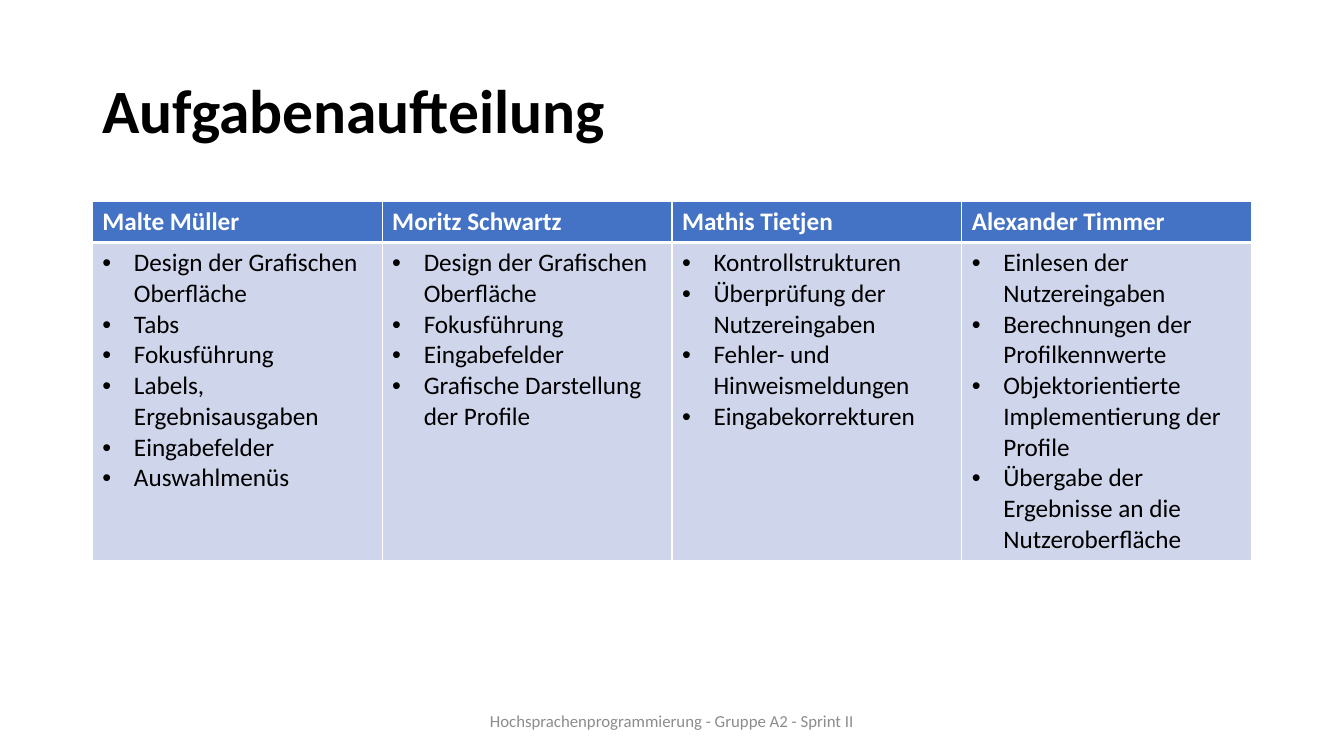
from pptx import Presentation
from pptx.dml.color import RGBColor
from pptx.enum.text import MSO_ANCHOR, MSO_AUTO_SIZE, PP_ALIGN
from pptx.oxml import parse_xml
from pptx.oxml.ns import nsdecls
from pptx.util import Pt

# Theme: colours and type sizes
theme = {
    "title": {"size": Pt(44), "bold": True, "color": "000000"},
    "head": {"size": Pt(18), "bold": True, "color": "FFFFFF"},
    "body": {"size": Pt(18), "bold": False, "color": "000000"},
    "foot": {"size": Pt(12), "bold": False, "color": "8C8C8C"},
    "font": "Calibri",
    "fills": {"head": "4472C4", "body": "CFD5EA"},
    "rule": "FFFFFF",
}
tasks = {
    "Malte Müller": [
        "Design der Grafischen Oberfläche", "Tabs", "Fokusführung",
        "Labels, Ergebnisausgaben", "Eingabefelder", "Auswahlmenüs"],
    "Moritz Schwartz": [
        "Design der Grafischen Oberfläche", "Fokusführung",
        "Eingabefelder", "Grafische Darstellung der Profile"],
    "Mathis Tietjen": [
        "Kontrollstrukturen", "Überprüfung der Nutzereingaben",
        "Fehler- und Hinweismeldungen", "Eingabekorrekturen"],
    "Alexander Timmer": [
        "Einlesen der Nutzereingaben", "Berechnungen der Profilkennwerte",
        "Objektorientierte Implementierung der Profile",
        "Übergabe der Ergebnisse an die Nutzeroberfläche"],
}


def write(frame, lines, role):
    """Fill a text frame with one paragraph per line."""
    frame.text = "\n".join(lines)
    for para in frame.paragraphs:
        font = para.runs[0].font
        font.name = theme["font"]
        for key, value in theme[role].items():
            if key == "color":
                font.color.rgb = RGBColor.from_string(value)
            else:
                setattr(font, key, value)


def style(cell, role):
    """Give a cell its borders and then its fill."""
    props = cell._tc.get_or_add_tcPr()
    for side in "LRTB":
        thick = (role, side) in (("head", "B"), ("body", "T"))
        props.append(parse_xml(
            f'<a:ln{side} {nsdecls("a")} w="{Pt(3 if thick else 1)}"><a:solidFill>'
            f'<a:srgbClr val="{theme["rule"]}"/></a:solidFill></a:ln{side}>'))
    cell.fill.solid()
    cell.fill.fore_color.rgb = RGBColor.from_string(theme["fills"][role])


# Slide
deck = Presentation()
deck.slide_width, deck.slide_height = Pt(960), Pt(540)
slide = deck.slides.add_slide(deck.slide_layouts[5])

# Title
title = slide.shapes.title
place = {"left": Pt(66), "top": Pt(28.8), "width": Pt(828), "height": Pt(104.4)}
for key, value in place.items():
    setattr(title, key, value)
write(title.text_frame, ["Aufgabenaufteilung"], "title")
title.text_frame.auto_size = MSO_AUTO_SIZE.NONE
title.text_frame.vertical_anchor = MSO_ANCHOR.MIDDLE
title.text_frame.paragraphs[0].alignment = PP_ALIGN.LEFT
title.text_frame.paragraphs[0].line_spacing = 0.9

# Task table: one column per person
grid = slide.shapes.add_table(
    2, len(tasks), Pt(66), Pt(144), Pt(828), Pt(252.8)).table
grid.rows[0].height, grid.rows[1].height = Pt(29.2), Pt(223.6)
for col, (name, items) in enumerate(tasks.items()):
    for row, (role, lines) in enumerate((("head", [name]), ("body", items))):
        cell = grid.cell(row, col)
        write(cell.text_frame, lines, role)
        style(cell, role)
    for para in cell.text_frame.paragraphs:
        props = para._p.get_or_add_pPr()
        for key, value in {"marL": Pt(22.5), "indent": -Pt(22.5)}.items():
            props.set(key, str(value))
        props.append(parse_xml(f'<a:buFont {nsdecls("a")} typeface="Arial"/>'))
        props.append(parse_xml(f'<a:buChar {nsdecls("a")} char="•"/>'))

# Footer
foot = slide.shapes.add_textbox(Pt(318), Pt(500.5), Pt(324), Pt(28.75)).text_frame
write(foot, ["Hochsprachenprogrammierung - Gruppe A2 - Sprint II"], "foot")
foot.word_wrap = True
foot.vertical_anchor = MSO_ANCHOR.MIDDLE
foot.paragraphs[0].alignment = PP_ALIGN.CENTER

deck.save("out.pptx")
